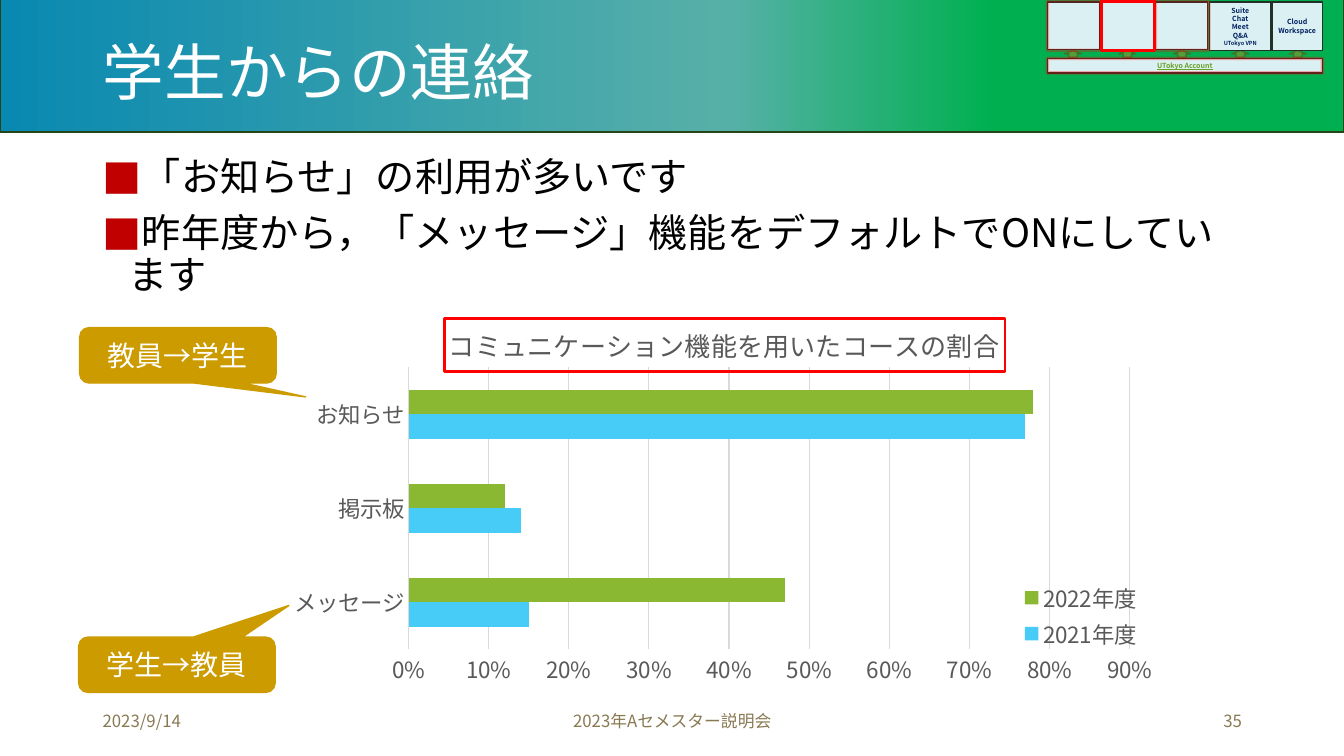
from dataclasses import dataclass
from lxml import etree
from pptx import Presentation, util as u
from pptx.chart.data import CategoryChartData
from pptx.dml.color import RGBColor
from pptx.enum import chart as ch, shapes as sh, text as tx
from pptx.oxml import parse_xml
from pptx.oxml.ns import nsdecls, qn


@dataclass(frozen=True)
class Theme:
    face: str = "Noto Sans CJK JP"
    white: str = "FFFFFF"
    black: str = "000000"
    mark: str = "C00000"
    foot: str = "887952"
    gold: str = "CC9B00"
    gray: str = "595959"
    rule: str = "D9D9D9"
    red: str = "FF0000"
    pale: str = "DBF0F3"
    edge: str = "223028"
    navy: str = "002060"
    leaf: str = "6B9F25"
    arrow: tuple = ("549E39", "3E752A")
    bars: tuple = ("46CCF6", "8AB833")
    head: tuple = ((0, "0989B1"), (54, "57B0A8"), (74, "00B050"), (89, "00B050"), (100, "00B050"))
    rim: str = "254519"
    title: float = 44
    body: float = 28
    call: float = 20
    name: float = 18.6
    axis: float = 16
    small: float = 12
    tiny: float = 5
    least: float = 4


@dataclass(frozen=True)
class Box:
    """Place on the grid: column, row, columns wide, rows high."""
    col: float
    row: float
    wide: float
    high: float

    def emu(self) -> tuple:
        return tuple(round(n * CELL) for n in (self.col, self.row, self.wide, self.high))


@dataclass(frozen=True)
class Call:
    text: str
    box: Box
    tip: tuple


@dataclass(frozen=True)
class Foot:
    text: str
    box: Box
    side: tx.PP_ALIGN


T = Theme()
COLS, ROWS = 160, 90
CELL = u.Inches(1) / 12
KIND, SIDE = sh.MSO_SHAPE, tx.PP_ALIGN

prs = Presentation()
prs.slide_width, prs.slide_height = round(COLS * CELL), round(ROWS * CELL)
slide = prs.slides.add_slide(prs.slide_layouts[1])


def style(font, size: float, color: str, bold: bool = False) -> None:
    font.name, font.size, font.bold = T.face, u.Pt(size), bold
    font.color.rgb = RGBColor.from_string(color)


def write(para, text: str, size: float, color: str, side=SIDE.LEFT, bold=False):
    para.alignment = side
    run = para.add_run()
    run.text = text
    style(run.font, size, color, bold)
    return run


def draw(kind, box: Box, fill: str | None, line: str, width: float = 1):
    shape = slide.shapes.add_shape(kind, *box.emu())
    shape.shadow.inherit = False
    if fill:
        shape.fill.solid()
        shape.fill.fore_color.rgb = RGBColor.from_string(fill)
    else:
        shape.fill.background()
    shape.line.color.rgb = RGBColor.from_string(line)
    shape.line.width = u.Pt(width)
    shape.text_frame.word_wrap = True
    shape.text_frame.vertical_anchor = tx.MSO_ANCHOR.MIDDLE
    return shape


def hold(index: int, box: Box):
    shape = slide.placeholders[index]
    shape.left, shape.top, shape.width, shape.height = box.emu()
    shape.text_frame.word_wrap = True
    shape.text_frame.auto_size = tx.MSO_AUTO_SIZE.NONE
    return shape.text_frame


def bullet(para) -> None:
    props = para._p.get_or_add_pPr()
    props.set("marL", str(u.Inches(0.25)))
    props.set("indent", str(-u.Inches(0.25)))
    props.append(parse_xml(f'<a:buClr {nsdecls("a")}><a:srgbClr val="{T.mark}"/></a:buClr>'))
    props.append(parse_xml(f'<a:buFont {nsdecls("a")} typeface="{T.face}"/>'))
    props.append(parse_xml(f'<a:buChar {nsdecls("a")} char="■"/>'))


def place(host, after: str | None, inner: bool = False, **share: float) -> None:
    """Set the place of a chart element as shares of the chart's size."""
    for old in host.findall(qn("c:layout")):
        host.remove(old)
    goal = '<c:layoutTarget val="inner"/>' if inner else ""
    modes = "".join(f'<c:{k}Mode val="edge"/>' for k in "xy")
    sizes = "".join(f'<c:{k} val="{v}"/>' for k, v in share.items())
    node = parse_xml(f'<c:layout {nsdecls("c")}><c:manualLayout>{goal}{modes}{sizes}'
                     "</c:manualLayout></c:layout>")
    if after:
        host.find(qn(after)).addnext(node)
    else:
        host.insert(0, node)


def match(root) -> None:
    """Use each Latin face for East Asian text as well."""
    for latin in list(root.iter(qn("a:latin"))):
        east = etree.Element(qn("a:ea"))
        east.set("typeface", T.face)
        latin.addnext(east)


# Header band, behind everything
band = draw(KIND.RECTANGLE, Box(0, -0.36, COLS, 16.08), None, T.rim)
band.fill.gradient()
band.fill.gradient_angle = 0
stops = band._element.spPr.find(".//" + qn("a:gsLst"))
for old in list(stops):
    stops.remove(old)
for at, color in T.head:
    stops.append(parse_xml(f'<a:gs {nsdecls("a")} pos="{at * 1000}"><a:srgbClr val="{color}"/></a:gs>'))
slide.shapes._spTree.insert(2, band._element)

# Title and list
frame = hold(0, Box(11.04, 0.24, 138, 17.4))
frame.vertical_anchor = tx.MSO_ANCHOR.MIDDLE
frame.paragraphs[0].line_spacing = 0.9
write(frame.paragraphs[0], "学生からの連絡", T.title, T.white)

frame = hold(1, Box(11.04, 18.12, 138, 65.28))
for i, line in enumerate(("「お知らせ」の利用が多いです",
                          "昨年度から，「メッセージ」機能をデフォルトでONにしています")):
    para = frame.add_paragraph() if i else frame.paragraphs[0]
    bullet(para)
    para.line_spacing, para.space_before = 0.9, u.Pt(10 if i else 0)
    write(para, line, T.body, T.black)

# Footer
for foot in (Foot("2023/9/14", Box(11.04, 83.4, 36, 4.8), SIDE.LEFT),
             Foot("2023年Aセメスター説明会", Box(53.04, 83.4, 54, 4.8), SIDE.CENTER),
             Foot("35", Box(113.04, 83.4, 36, 4.8), SIDE.RIGHT)):
    frame = slide.shapes.add_textbox(*foot.box.emu()).text_frame
    frame.word_wrap, frame.vertical_anchor = True, tx.MSO_ANCHOR.MIDDLE
    write(frame.paragraphs[0], foot.text, T.small, T.foot, foot.side)

# Chart
data = CategoryChartData(number_format="0%")
data.categories = ["メッセージ", "掲示板", "お知らせ"]
data.add_series("2021年度", (0.15, 0.14, 0.77))
data.add_series("2022年度", (0.47, 0.12, 0.78))
chart = slide.shapes.add_chart(ch.XL_CHART_TYPE.BAR_CLUSTERED,
                               *Box(32.76, 34.68, 105.96, 53.28).emu(), data).chart
style(chart.font, T.axis, T.gray)
plot = chart.plots[0]
plot.gap_width, plot.overlap, plot.vary_by_categories = 182, 0, False
for series, color in zip(plot.series, T.bars):
    series.format.fill.solid()
    series.format.fill.fore_color.rgb = RGBColor.from_string(color)
cat, val = chart.category_axis, chart.value_axis
for axis in (cat, val):
    axis.major_tick_mark = axis.minor_tick_mark = ch.XL_TICK_MARK.NONE
    style(axis.tick_labels.font, T.axis, T.gray)
val.minimum_scale, val.maximum_scale, val.major_unit = 0, 0.9, 0.1
val.tick_labels.number_format, val.tick_labels.number_format_is_linked = "0%", False
val.has_major_gridlines = True
val.format.line.fill.background()
for rule in (cat, val.major_gridlines):
    rule.format.line.color.rgb = RGBColor.from_string(T.rule)
    rule.format.line.width = u.Pt(0.75)
chart.has_title = chart.has_legend = True
name = chart.chart_title
write(name.text_frame.paragraphs[0], "コミュニケーション機能を用いたコースの割合", T.name, T.gray, SIDE.CENTER)
name.format.line.color.rgb = RGBColor.from_string(T.red)
name.format.line.width = u.Pt(2)
chart.legend.position = ch.XL_LEGEND_POSITION.BOTTOM
chart.legend.include_in_layout = True
style(chart.legend.font, T.axis, T.gray)
root = chart._chartSpace
place(root.find(".//" + qn("c:plotArea")), None, True, x=0.15, y=0.17, w=0.81, h=0.63)
place(root.find(".//" + qn("c:title")), "c:tx", x=0.19, y=0.06)
place(root.find(".//" + qn("c:legend")), "c:legendPos", x=0.83, y=0.64, w=0.15, h=0.17)

# Callouts
for call in (Call("学生→教員", Box(9.36, 75.84, 23.4, 6.6), (0.57, -1.07, 0.17)),
             Call("教員→学生", Box(9.48, 39, 23.4, 6.6), (0.65, 0.75, 0.17))):
    shape = draw(KIND.ROUNDED_RECTANGULAR_CALLOUT, call.box, T.gold, T.gold)
    for i, share in enumerate(call.tip):
        shape.adjustments[i] = share
    write(shape.text_frame.paragraphs[0], call.text, T.call, T.white, SIDE.CENTER)

# Map of services: arrows, account bar, boxes
for col in (126.72, 133.2, 139.68, 146.64, 153.48):
    draw(KIND.UP_ARROW, Box(col, 6, 2.04, 0.84), *T.arrow)
base = Box(124.68, 6.96, 32.76, 1.74)
shape = draw(KIND.RECTANGLE, base, T.pale, T.edge)
write(shape.text_frame.paragraphs[0], "UTokyo Account", T.tiny, T.leaf, SIDE.CENTER, True).font.underline = True
for box, lines in ((Box(144, 0.24, 7.32, 5.76), ("Suite", "Chat", "Meet", "Q&A", "UTokyo VPN")),
                   (Box(151.44, 0.24, 6, 5.76), ("Cloud Workspace",))):
    frame = draw(KIND.RECTANGLE, box, T.pale, T.edge).text_frame
    frame.margin_left = frame.margin_right = u.Inches(0.04)
    for i, line in enumerate(lines):
        para = frame.add_paragraph() if i else frame.paragraphs[0]
        write(para, line, T.least if i == 4 else T.tiny, T.navy, SIDE.CENTER, True)
for i in range(3):
    draw(KIND.RECTANGLE, Box(124.68 + 6.42 * i, 0.24, 6.24, 5.64), T.pale, T.edge)

# Red frames: faint ones, then the current service
slots = [Box(124.68 + 6.44 * i, 0.12, 6.36, 5.88) for i in range(3)]
for box in (base, slots[0], slots[2], slots[1]):
    shape = draw(KIND.RECTANGLE, box, None, T.red, 2.5)
    if box is not slots[1]:
        tint = shape._element.spPr.find(".//" + qn("a:ln")).find(".//" + qn("a:srgbClr"))
        tint.append(parse_xml(f'<a:alpha {nsdecls("a")} val="30000"/>'))

match(slide.element)
match(root)
prs.save("out.pptx")
